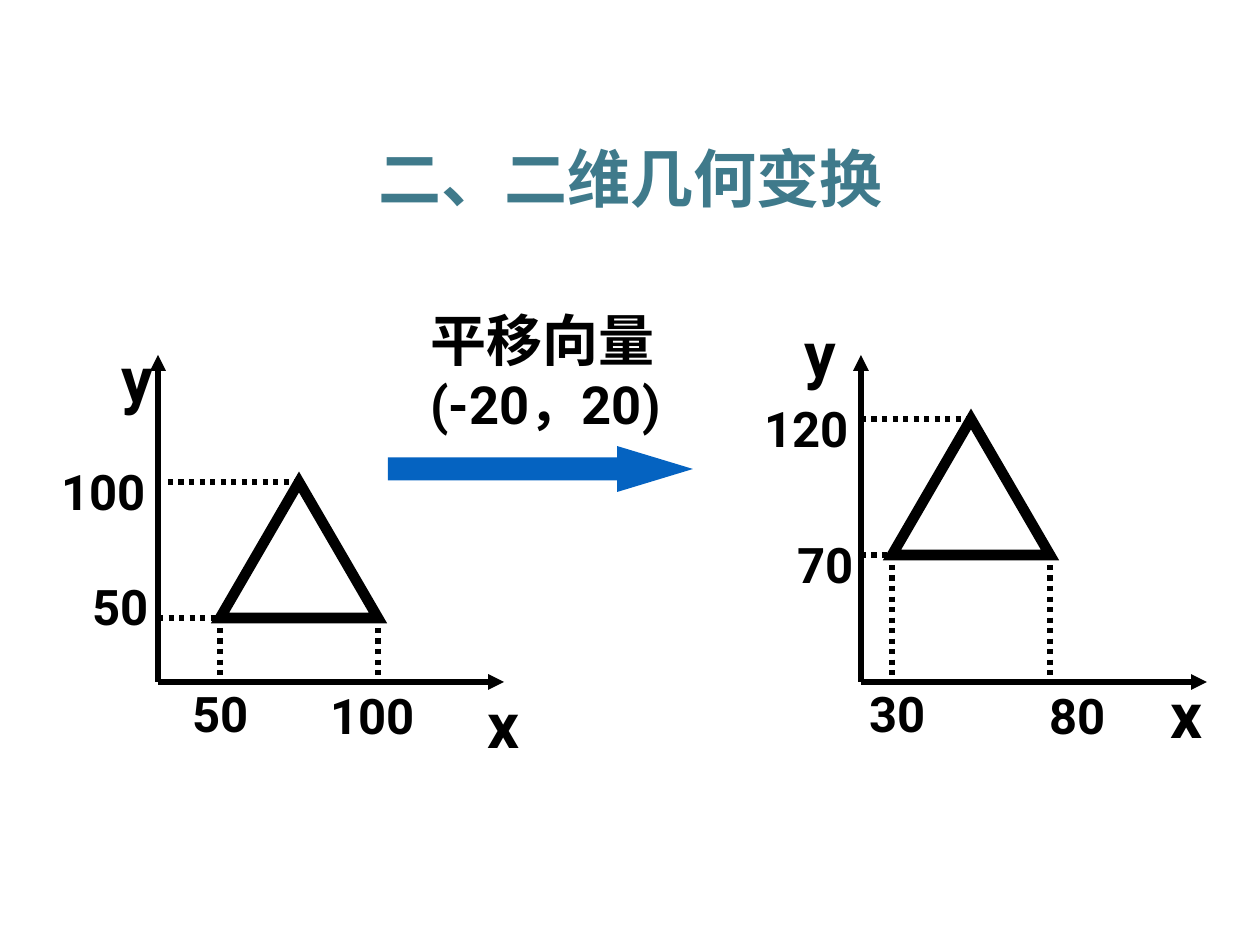
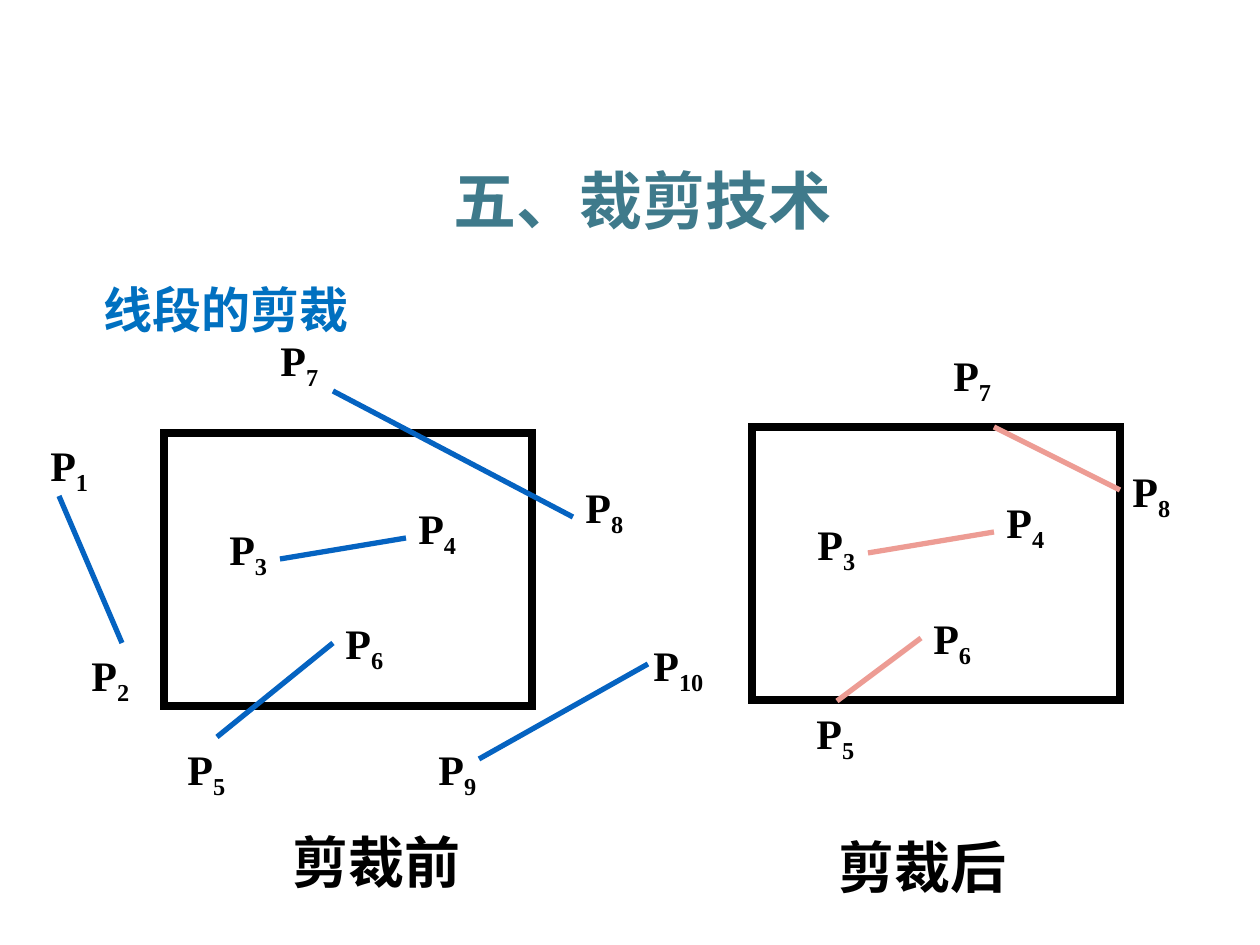
from lxml import etree
from pptx import Presentation
from pptx import util as u
from pptx.dml.color import RGBColor
from pptx.enum import dml, shapes, text
from pptx.oxml.ns import qn

BLACK = RGBColor(0x00, 0x00, 0x00)
TEAL = RGBColor(0x3F, 0x7A, 0x8B)
SKY = RGBColor(0x00, 0x70, 0xC0)
BLUE = RGBColor(0x05, 0x63, 0xC1)
PINK = RGBColor(0xED, 0x9C, 0x94)
HAN_FONT = "Noto Sans CJK SC"
PX = u.Inches(1) / 126

HEADING = {"name": HAN_FONT, "size": u.Pt(36), "bold": True}
SUBHEAD = {"name": "Arial", "size": u.Pt(28), "bold": True}
TICK = {"name": "Roboto", "size": u.Pt(28), "bold": True}
AXIS_NAME = {**TICK, "size": u.Pt(36)}
VECTOR = {**TICK, "size": u.Pt(30)}
VECTOR_NAME = {**TICK, "size": u.Pt(32)}
POINT = {"name": "Times New Roman", "size": u.Pt(24), "bold": True}
CAPTION = {**POINT, "size": u.Pt(32)}

# Slide 1: all lengths in px
TRANSLATION_TITLE = ("二、二维几何变换", (42, 125, 1177, 105))
AXIS_Y, AXIS_TOP, AXIS_LENGTH = 682, 355, 346
TRIANGLE_W, TRIANGLE_H = 158, 136
GUIDE_GAP = 10
TICK_WIDTHS = {2: 63, 3: 93}
PLOTS = [
    {"axis_x": 158, "triangle": (220, 482), "apex_guide": 168,
     "ticks": [("50", 189, 683), ("100", 326, 685), ("50", 89, 576), ("100", 57, 461)],
     "axis_names": [("x", 485, 685), ("y", 118, 339)]},
    {"axis_x": 861, "triangle": (892, 419), "apex_guide": 861,
     "ticks": [("30", 866, 683), ("80", 1046, 685), ("70", 794, 534), ("120", 760, 398)],
     "axis_names": [("x", 1168, 675), ("y", 801, 314)]},
]
VECTOR_ARROW = (388, 446, 305, 46)
VECTOR_NAME_LABEL = ("平移向量", (418, 299, 254, 79))
VECTOR_LABEL = ("(-20，20)", (417, 372, 257, 63))

# Slide 2: lines run between the points they name
CLIPPING_TITLE = ("五、裁剪技术", (54, 155, 1177, 89))
CLIPPING_SUBHEAD = ("线段的剪裁", (91, 230, 777, 115))
WINDOW_SIZE = (368, 273)
PANELS = [
    {"window": (164, 433), "color": BLUE, "caption": ("剪裁前", (280, 821, 196, 79)),
     "segments": [(333, 391, 573, 517), (648, 664, 479, 759), (280, 559, 406, 538),
                  (59, 496, 122, 643), (217, 737, 333, 643)],
     "points": {1: (38, 433), 2: (79, 643), 3: (217, 517), 4: (406, 496), 5: (175, 737),
                6: (333, 611), 7: (268, 328), 8: (573, 475), 9: (426, 737), 10: (641, 633)}},
    {"window": (752, 427), "color": PINK, "caption": ("剪裁后", (826, 826, 196, 79)),
     "segments": [(994, 427, 1120, 490), (868, 553, 994, 532), (837, 701, 921, 638)],
     "points": {3: (805, 512), 4: (994, 490), 5: (804, 701),
                6: (921, 606), 7: (941, 343), 8: (1120, 459)}},
]


def emu(lengths):
    return [round(length * PX) for length in lengths]


def add_run(paragraph, words, style, color=BLACK):
    run = paragraph.add_run()
    run.text = words
    for key, value in style.items():
        setattr(run.font, key, value)
    run.font.color.rgb = color
    etree.SubElement(run.font._element, qn("a:ea"), typeface=HAN_FONT)
    return run


def add_label(slide, words, box, style, color=BLACK, centred=False):
    """Add a one-line label; centred ones have no insets."""
    frame = slide.shapes.add_textbox(*emu(box)).text_frame
    frame.word_wrap = False
    frame.auto_size = text.MSO_AUTO_SIZE.SHAPE_TO_FIT_TEXT
    paragraph = frame.paragraphs[0]
    if centred:
        for side in ("left", "top", "right", "bottom"):
            setattr(frame, f"margin_{side}", 0)
        frame.vertical_anchor = text.MSO_ANCHOR.MIDDLE
        paragraph.alignment = text.PP_ALIGN.CENTER
    add_run(paragraph, words, style, color)
    return frame


def add_line(slide, ends, color=BLACK, dotted=False, arrow=False):
    connector = slide.shapes.add_connector(shapes.MSO_CONNECTOR.STRAIGHT, *emu(ends))
    connector.line.color.rgb = color
    connector.line.width = u.Pt(3)
    if dotted:
        connector.line.dash_style = dml.MSO_LINE.ROUND_DOT
    if arrow:
        etree.SubElement(connector.line._get_or_add_ln(), qn("a:tailEnd"), type="triangle")
    etree.SubElement(connector._element.spPr, qn("a:effectLst"))


def add_outline(slide, kind, box, width):
    """Add an unfilled black shape with sharp corners."""
    outline = slide.shapes.add_shape(kind, *emu(box))
    outline.shadow.inherit = False
    outline.fill.background()
    outline.line.color.rgb = BLACK
    outline.line.width = u.Pt(width)
    etree.SubElement(outline.line._get_or_add_ln(), qn("a:miter"), lim="800000")


def add_titled_slide(prs, words, box):
    slide = prs.slides.add_slide(prs.slide_layouts[5])
    title = slide.shapes.title
    title.left, title.top, title.width, title.height = emu(box)
    frame = title.text_frame
    frame.auto_size = text.MSO_AUTO_SIZE.NONE
    frame.vertical_anchor = text.MSO_ANCHOR.MIDDLE
    frame.paragraphs[0].alignment = text.PP_ALIGN.CENTER
    add_run(frame.paragraphs[0], words, HEADING, TEAL)
    return slide


def draw_plot(slide, plot):
    """Draw axes, triangle, dotted guides and labels of one coordinate system."""
    axis_x = plot["axis_x"]
    left, apex_y = plot["triangle"]
    right, base_y = left + TRIANGLE_W, apex_y + TRIANGLE_H
    add_line(slide, (axis_x, AXIS_Y, axis_x, AXIS_TOP), arrow=True)
    add_line(slide, (axis_x, AXIS_Y, axis_x + AXIS_LENGTH, AXIS_Y), arrow=True)
    add_outline(slide, shapes.MSO_SHAPE.FLOWCHART_EXTRACT,
                (left, apex_y, TRIANGLE_W, TRIANGLE_H), 6)
    for guide in [(left, base_y + GUIDE_GAP, left, AXIS_Y),
                  (right, base_y + GUIDE_GAP, right, AXIS_Y),
                  (axis_x, base_y, left, base_y),
                  (plot["apex_guide"], apex_y, left + TRIANGLE_W // 2, apex_y)]:
        add_line(slide, guide, dotted=True)
    for value, x, y in plot["ticks"]:
        add_label(slide, value, (x, y, TICK_WIDTHS[len(value)], 59), TICK, centred=True)
    for name, x, y in plot["axis_names"]:
        add_label(slide, name, (x, y, 38, 76), AXIS_NAME, centred=True)


def draw_panel(slide, panel):
    """Draw the clipping window with its segments, point labels and caption."""
    add_outline(slide, shapes.MSO_SHAPE.RECTANGLE, panel["window"] + WINDOW_SIZE, 4.5)
    for segment in panel["segments"]:
        add_line(slide, segment, panel["color"])
    for number, corner in panel["points"].items():
        width = 79 if number > 9 else 66
        label = add_label(slide, "P", corner + (width, 63), POINT)
        index = add_run(label.paragraphs[0], str(number), POINT)
        index.font._element.set("baseline", "-25000")
    add_label(slide, *panel["caption"], CAPTION)


def build_translation(prs):
    slide = add_titled_slide(prs, *TRANSLATION_TITLE)
    for plot in PLOTS:
        draw_plot(slide, plot)
    arrow = slide.shapes.add_shape(shapes.MSO_SHAPE.RIGHT_ARROW, *emu(VECTOR_ARROW))
    arrow.adjustments[1] = 1.65
    arrow.shadow.inherit = False
    arrow.fill.solid()
    arrow.fill.fore_color.rgb = BLUE
    arrow.line.fill.background()
    add_label(slide, *VECTOR_NAME_LABEL, VECTOR_NAME)
    add_label(slide, *VECTOR_LABEL, VECTOR, centred=True)


def build_clipping(prs):
    slide = add_titled_slide(prs, *CLIPPING_TITLE)
    subhead = add_label(slide, *CLIPPING_SUBHEAD, SUBHEAD, SKY)
    subhead.word_wrap = True
    subhead.auto_size = text.MSO_AUTO_SIZE.NONE
    subhead.vertical_anchor = text.MSO_ANCHOR.BOTTOM
    for panel in PANELS:
        draw_panel(slide, panel)


def main():
    prs = Presentation()
    prs.slide_width, prs.slide_height = u.Inches(10), u.Inches(7.5)
    build_translation(prs)
    build_clipping(prs)
    prs.save("out.pptx")


if __name__ == "__main__":
    main()
